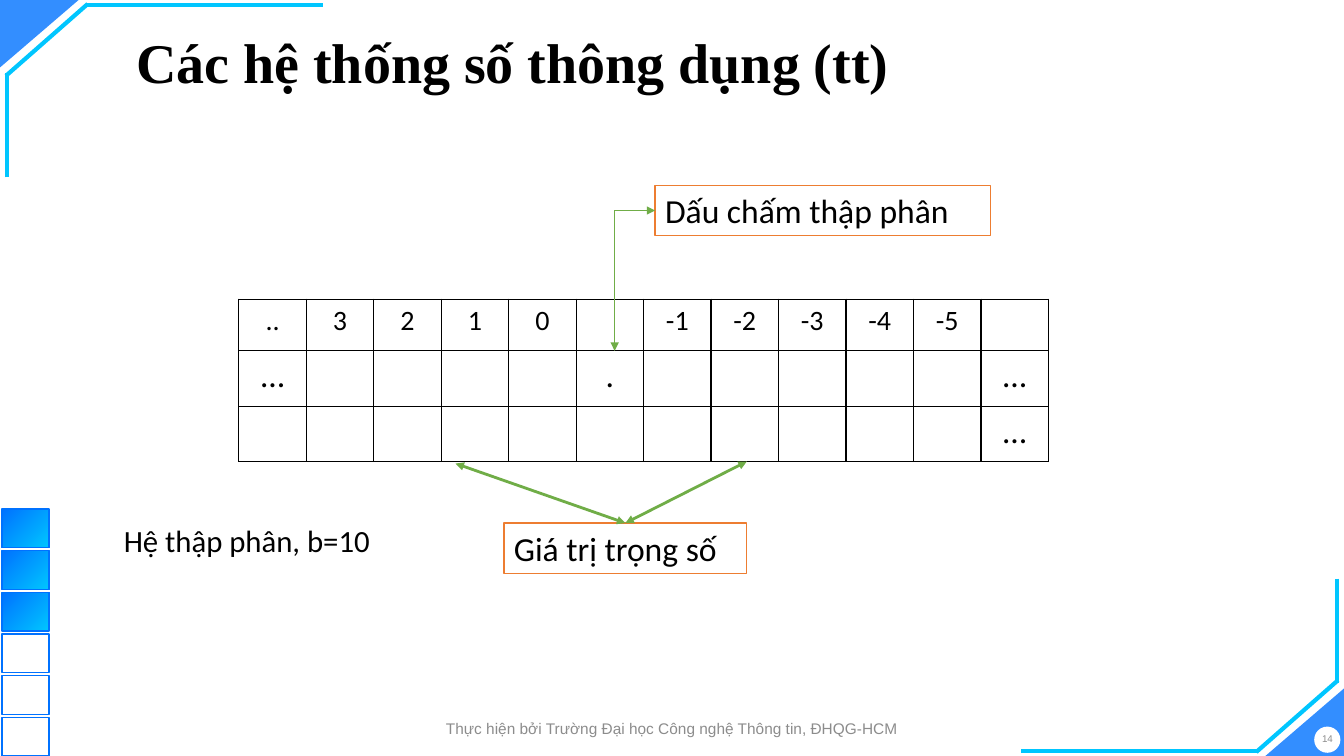
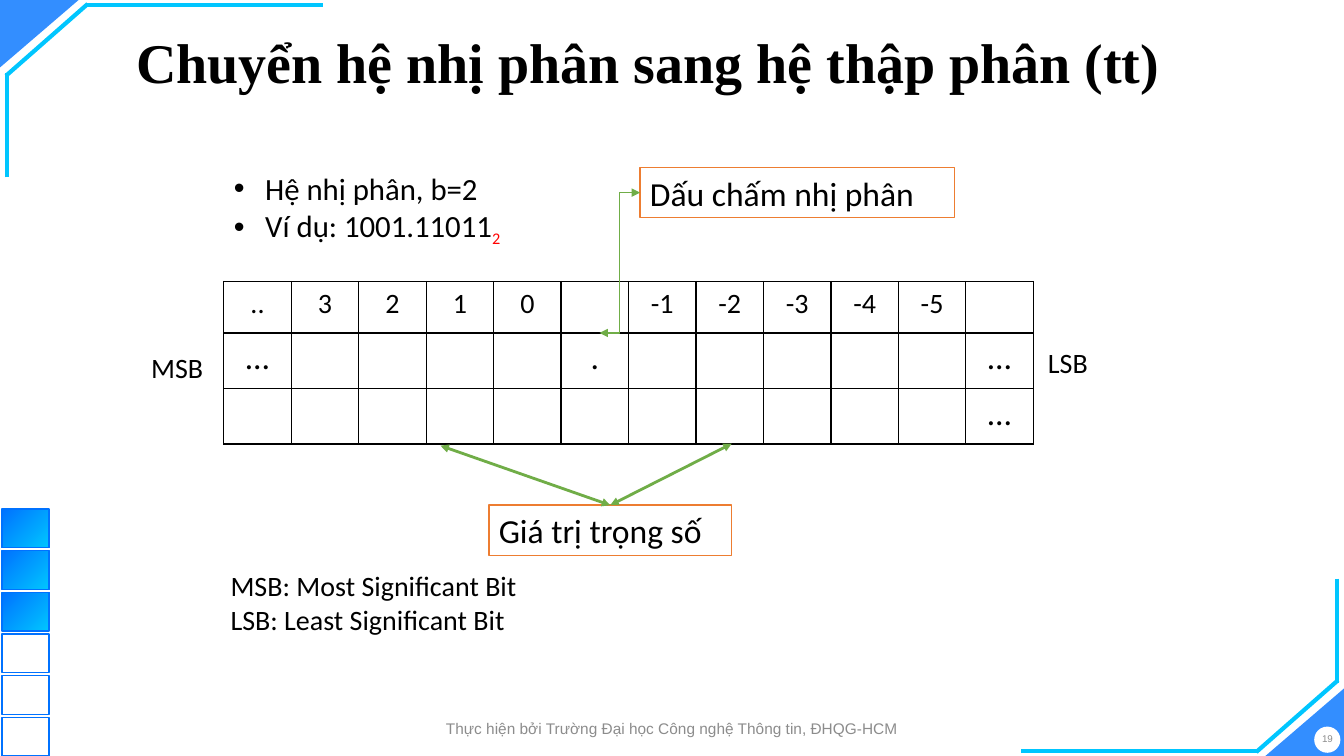
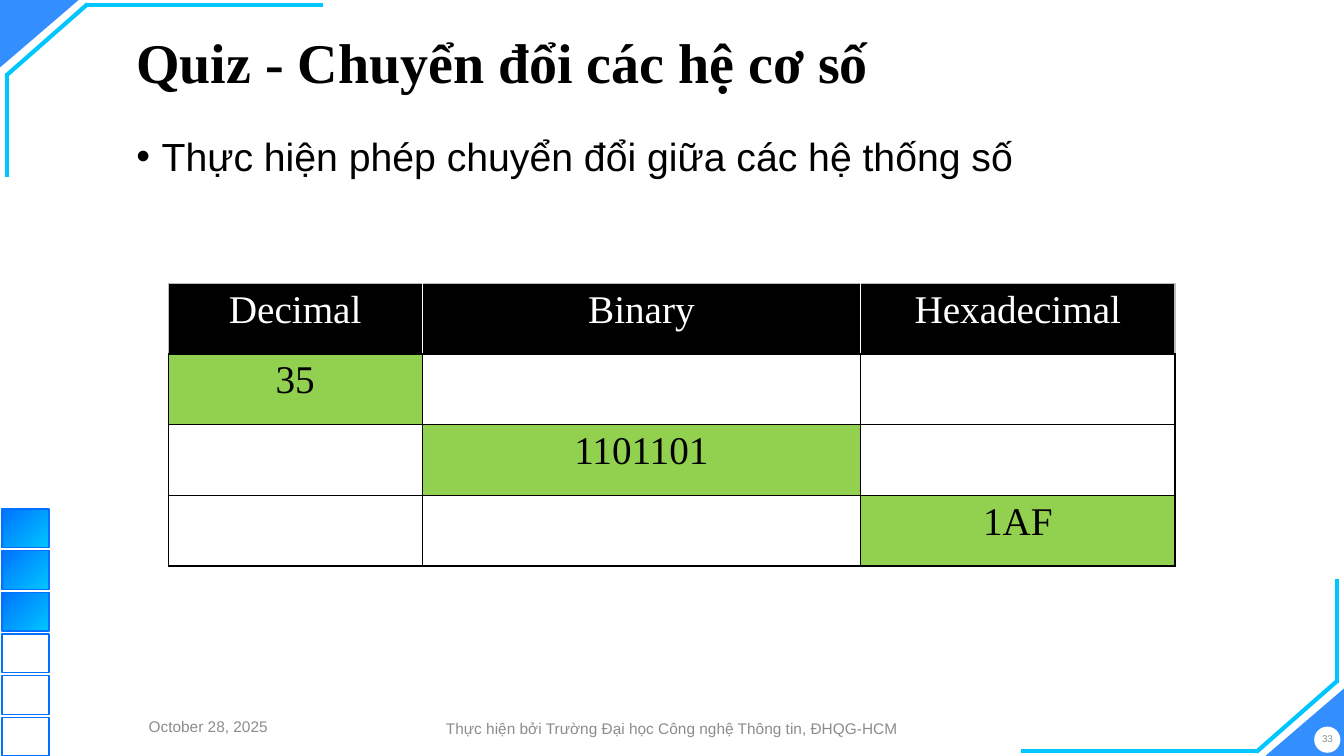
from dataclasses import dataclass

from lxml.etree import SubElement
from pptx import Presentation
from pptx.dml.color import RGBColor
from pptx.enum.shapes import MSO_CONNECTOR as Link, MSO_SHAPE as Preset
from pptx.enum.text import MSO_ANCHOR as Anchor, MSO_AUTO_SIZE as AutoSize, PP_ALIGN as Align
from pptx.oxml.ns import qn
from pptx.util import Cm, Pt

WIDTH, HEIGHT = 33.87, 19.05
BODY_LAYOUT, TITLE_LAYOUT = 1, 5


@dataclass(frozen=True)
class Theme:
    blue: str = "0072FF"
    cyan: str = "00C6FF"
    orange: str = "ED7D31"
    green: str = "70AD47"
    answer: str = "92D050"
    red: str = "FF0000"
    black: str = "000000"
    white: str = "FFFFFF"
    grey: str = "8C8C8C"
    pale: str = "BCBCBC"
    title_font: str = "Times New Roman"
    body_font: str = "Arial"
    label_font: str = "Calibri"
    title_size: float = 40
    body_size: float = 28
    label_size: float = 24
    note_size: float = 22
    small_size: float = 20
    footer_size: float = 11
    number_size: float = 7
    border: float = 0.96


THEME = Theme()


def rgb(code):
    return RGBColor.from_string(code)


def cm(*lengths):
    return [Cm(length) for length in lengths]


def move(shape, box):
    shape.left, shape.top, shape.width, shape.height = cm(*box)


def style_runs(paragraph, font, size, color, bold=False):
    for run in paragraph.runs:
        run.font.name, run.font.size, run.font.bold = font, Pt(size), bold
        run.font.color.rgb = rgb(color)


def add_preset(slide, preset, box, fill=None, line=None):
    shape = slide.shapes.add_shape(preset, *cm(*box))
    shape.shadow.inherit = False
    if fill:
        shape.fill.solid()
        shape.fill.fore_color.rgb = rgb(fill)
    else:
        shape.fill.background()
    if line:
        shape.line.color.rgb = rgb(line)
        shape.line.width = Pt(1)
    else:
        shape.line.fill.background()
    return shape


def add_line(slide, start, end, color, width, kind=Link.STRAIGHT, arrows=False):
    connector = slide.shapes.add_connector(kind, *cm(*start, *end))
    connector.line.color.rgb = rgb(color)
    connector.line.width = Pt(width)
    properties = connector.element.spPr
    if arrows:
        for tip in ("a:headEnd", "a:tailEnd"):
            SubElement(properties.find(qn("a:ln")), qn(tip), type="triangle")
    SubElement(properties, qn("a:effectLst"))
    return connector


def add_label(slide, box, text, size, framed=False):
    label = slide.shapes.add_textbox(*cm(*box))
    label.text_frame.word_wrap = True
    label.text_frame.text = text
    for paragraph in label.text_frame.paragraphs:
        style_runs(paragraph, THEME.label_font, size, THEME.black)
    if framed:
        label.fill.solid()
        label.fill.fore_color.rgb = rgb(THEME.white)
        label.line.color.rgb = rgb(THEME.orange)
        label.line.width = Pt(1)
    return label


def add_footer(slide, box, text, size):
    frame = slide.shapes.add_textbox(*cm(*box)).text_frame
    frame.word_wrap = True
    frame.vertical_anchor = Anchor.MIDDLE
    frame.margin_left = frame.margin_right = frame.margin_top = frame.margin_bottom = 0
    frame.text = text
    frame.paragraphs[0].alignment = Align.CENTER
    style_runs(frame.paragraphs[0], THEME.body_font, size, THEME.grey)


def draw_corner(slide, turned):
    """Draw the top left corner, or the same turned half round at bottom right."""
    def spot(x, y):
        return (WIDTH - x, HEIGHT - y) if turned else (x, y)

    width, height = 1.98, 1.7
    origin = (WIDTH - width, HEIGHT - height) if turned else (0, 0)
    wedge = add_preset(slide, Preset.ISOSCELES_TRIANGLE, (*origin, width, height), THEME.blue)
    wedge.adjustments[0] = 1
    wedge.rotation = 0 if turned else 180
    color = wedge.element.spPr.find(qn("a:solidFill"))[0]
    SubElement(color, qn("a:alpha"), val="80000")
    for start, end in (((8.13, 0.13), (2.16, 0.13)),
                       ((2.21, 0.1), (0.15, 1.91)),
                       ((0.18, 4.47), (0.18, 1.85))):
        add_line(slide, spot(*start), spot(*end), THEME.cyan, 3)


def draw_squares(slide, count=6, filled=3, height=0.97, step=1.05):
    for index in range(count):
        top = HEIGHT - height - (count - 1 - index) * step
        square = add_preset(slide, Preset.RECTANGLE, (0.05, top, 1.19, height), line=THEME.blue)
        if index < filled:
            square.fill.gradient()
            square.fill.gradient_angle = 315
            for stop, color in zip(square.fill.gradient_stops, (THEME.blue, THEME.cyan)):
                stop.color.rgb = rgb(color)


def decorate_master(prs, slide):
    """Draw the decoration on a slide, then move it behind all in the master."""
    placeholders = len(slide.shapes)
    draw_corner(slide, turned=False)
    draw_corner(slide, turned=True)
    add_preset(slide, Preset.OVAL, (33.12, 18.31, 0.66, 0.66), THEME.white)
    draw_squares(slide)
    tree = prs.slide_master.shapes.element
    for index, shape in enumerate(list(slide.shapes)[placeholders:]):
        shape.element.xpath(".//p:cNvPr")[0].set("id", str(100 + index))
        tree.insert(2 + index, shape.element)


def start_slide(prs, layout, title, number):
    slide = prs.slides.add_slide(prs.slide_layouts[layout])
    heading = slide.shapes.title
    move(heading, (3.18, 0.41, 29.21, 2.49))
    frame = heading.text_frame
    frame.text = title
    frame.auto_size = AutoSize.NONE
    frame.vertical_anchor = Anchor.MIDDLE
    frame.paragraphs[0].alignment = Align.LEFT
    frame.paragraphs[0].line_spacing = 0.9
    style_runs(frame.paragraphs[0], THEME.title_font, THEME.title_size, THEME.black, bold=True)
    if number == 14:
        decorate_master(prs, slide)
    add_footer(slide, (10.13, 17.98, 13.61, 0.74),
               "Thực hiện bởi Trường Đại học Công nghệ Thông tin, ĐHQG-HCM", THEME.footer_size)
    add_footer(slide, (33.05, 18.21, 0.81, 0.81), str(number), THEME.number_size)
    return slide


def fill_list(slide, box, lines, font, size, indent, spacing):
    body = slide.placeholders[1]
    move(body, box)
    frame = body.text_frame
    frame.text = "\n".join(lines)
    frame.auto_size = AutoSize.NONE
    for paragraph in frame.paragraphs:
        paragraph.line_spacing = spacing
        paragraph.space_before = Pt(0)
        properties = paragraph._p.get_or_add_pPr()
        properties.set("marL", str(Cm(indent)))
        properties.set("indent", str(-Cm(indent)))
        SubElement(properties, qn("a:buFont"), typeface="Arial")
        SubElement(properties, qn("a:buChar"), char="•")
        style_runs(paragraph, font, size, THEME.black)
    return frame


def add_subscript(paragraph, text):
    run = paragraph.add_run()
    run.text = text
    run.font.name, run.font.size = THEME.label_font, Pt(THEME.small_size)
    run.font.color.rgb = rgb(THEME.red)
    run._r.get_or_add_rPr().set("baseline", "-25000")


def set_borders(cell, left, right, top, bottom):
    properties = cell._tc.get_or_add_tcPr()
    for index, (side, color) in enumerate(zip("LRTB", (left, right, top, bottom))):
        border = SubElement(properties, qn(f"a:ln{side}"), w=str(Pt(THEME.border)))
        fill = SubElement(border, qn("a:solidFill"))
        SubElement(fill, qn("a:srgbClr"), val=color)
        properties.insert(index, border)


def add_grid(slide, left, top, widths, heights, rows, style_cell):
    """Add a table; style_cell gives font, size, colour, fill and borders by place."""
    box = cm(left, top, sum(widths), sum(heights))
    table = slide.shapes.add_table(len(rows), len(widths), *box).table
    table.first_row = table.horz_banding = False
    for column, width in zip(table.columns, widths):
        column.width = Cm(width)
    for r, (row, height) in enumerate(zip(rows, heights)):
        table.rows[r].height = Cm(height)
        for c, text in enumerate(row):
            cell = table.cell(r, c)
            font, size, color, fill, borders = style_cell(r, c, text)
            if fill:
                cell.fill.solid()
                cell.fill.fore_color.rgb = rgb(fill)
            else:
                cell.fill.background()
            set_borders(cell, *borders)
            if text:
                cell.text_frame.text = text
                cell.text_frame.paragraphs[0].alignment = Align.CENTER
                style_runs(cell.text_frame.paragraphs[0], font, size, color)


def style_weight_cell(row, column, text):
    size = THEME.label_size if row else THEME.small_size
    return THEME.label_font, size, THEME.black, None, [THEME.black] * 4


def style_quiz_cell(row, column, text):
    color, fill, borders = THEME.black, THEME.answer if text else None, [THEME.black] * 4
    if row == 0:
        color, fill = THEME.white, THEME.black
        borders = [THEME.white if column > 0 else THEME.pale,
                   THEME.white if column < 2 else THEME.pale, THEME.pale, THEME.black]
    return THEME.title_font, THEME.body_size, color, fill, borders


def draw_weights(slide, left, top, point_text, point_width, bend):
    """Draw the table of digit weights with its two labels and their arrows."""
    rows = [["..", "3", "2", "1", "0", "", "-1", "-2", "-3", "-4", "-5", ""],
            ["…", *[""] * 4, ".", *[""] * 5, "…"],
            [*[""] * 11, "…"]]
    add_grid(slide, left, top, [1.7] * 12, [1.3, 1.4, 1.4], rows, style_weight_cell)

    point_left, point_top, label_height = left + 10.49, top - 2.87, 1.27
    add_label(slide, (point_left, point_top, point_width, label_height),
              point_text, THEME.label_size, framed=True)
    pointer = add_line(slide, (left + 9.47, top + 1.3),
                       (point_left, point_top + label_height / 2),
                       THEME.green, 1, Link.ELBOW, arrows=True)
    guides = pointer.element.spPr.find(qn("a:prstGeom")).find(qn("a:avLst"))
    SubElement(guides, qn("a:gd"), name="adj1", fmla=f"val {bend}")

    weight = add_label(slide, (left + 6.68, top + 5.64, 6.12, label_height),
                       "Giá trị trọng số", THEME.label_size, framed=True)
    for x, y in ((5.46, 4.14), (12.8, 4.09)):
        arrow = add_line(slide, (left + 9.74, top + 5.64), (left + x, top + y),
                         THEME.green, 0, arrows=True)
        arrow.begin_connect(weight, 0)


def build_decimal(prs):
    slide = start_slide(prs, TITLE_LAYOUT, "Các hệ thống số thông dụng (tt)", 14)
    draw_weights(slide, 6.02, 7.54, "Dấu chấm thập phân", 8.46, bend=100)
    add_label(slide, (2.87, 13.03, 6.78, 1.19), "Hệ thập phân, b=10", THEME.note_size)


def build_binary(prs):
    slide = start_slide(prs, BODY_LAYOUT, "Chuyển hệ nhị phân sang hệ thập phân (tt)", 19)
    examples = fill_list(slide, (5.64, 4.14, 8.26, 2.13),
                         ["Hệ nhị phân, b=2", "Ví dụ: 1001.11011"],
                         THEME.label_font, THEME.note_size, indent=0.79, spacing=1.0)
    add_subscript(examples.paragraphs[1], "2")
    draw_weights(slide, 5.64, 7.09, "Dấu chấm nhị phân", 7.92, bend=50000)
    for box, text in (((3.56, 8.71, 2.06, 1.12), "MSB"),
                      ((26.16, 8.59, 1.85, 1.12), "LSB"),
                      ((5.56, 14.2, 8.53, 1.96),
                       "MSB: Most Significant Bit\nLSB: Least Significant Bit")):
        add_label(slide, box, text, THEME.small_size)


def build_quiz(prs):
    slide = start_slide(prs, BODY_LAYOUT, "Quiz - Chuyển đổi các hệ cơ số", 33)
    fill_list(slide, (3.18, 3.33, 29.21, 14.33),
              ["Thực hiện phép chuyển đổi giữa các hệ thống số"],
              THEME.body_font, THEME.body_size, indent=0.64, spacing=0.9)
    rows = [["Decimal", "Binary", "Hexadecimal"],
            ["35", "", ""], ["", "1101101", ""], ["", "", "1AF"]]
    add_grid(slide, 4.24, 7.14, [6.4, 11.05, 7.92], [1.78] * 4, rows, style_quiz_cell)
    add_footer(slide, (2.34, 17.93, 5.82, 0.74), "October 28, 2025", THEME.footer_size)


def main():
    prs = Presentation()
    prs.slide_width, prs.slide_height = cm(WIDTH, HEIGHT)
    build_decimal(prs)
    build_binary(prs)
    build_quiz(prs)
    prs.save("out.pptx")


if __name__ == "__main__":
    main()
